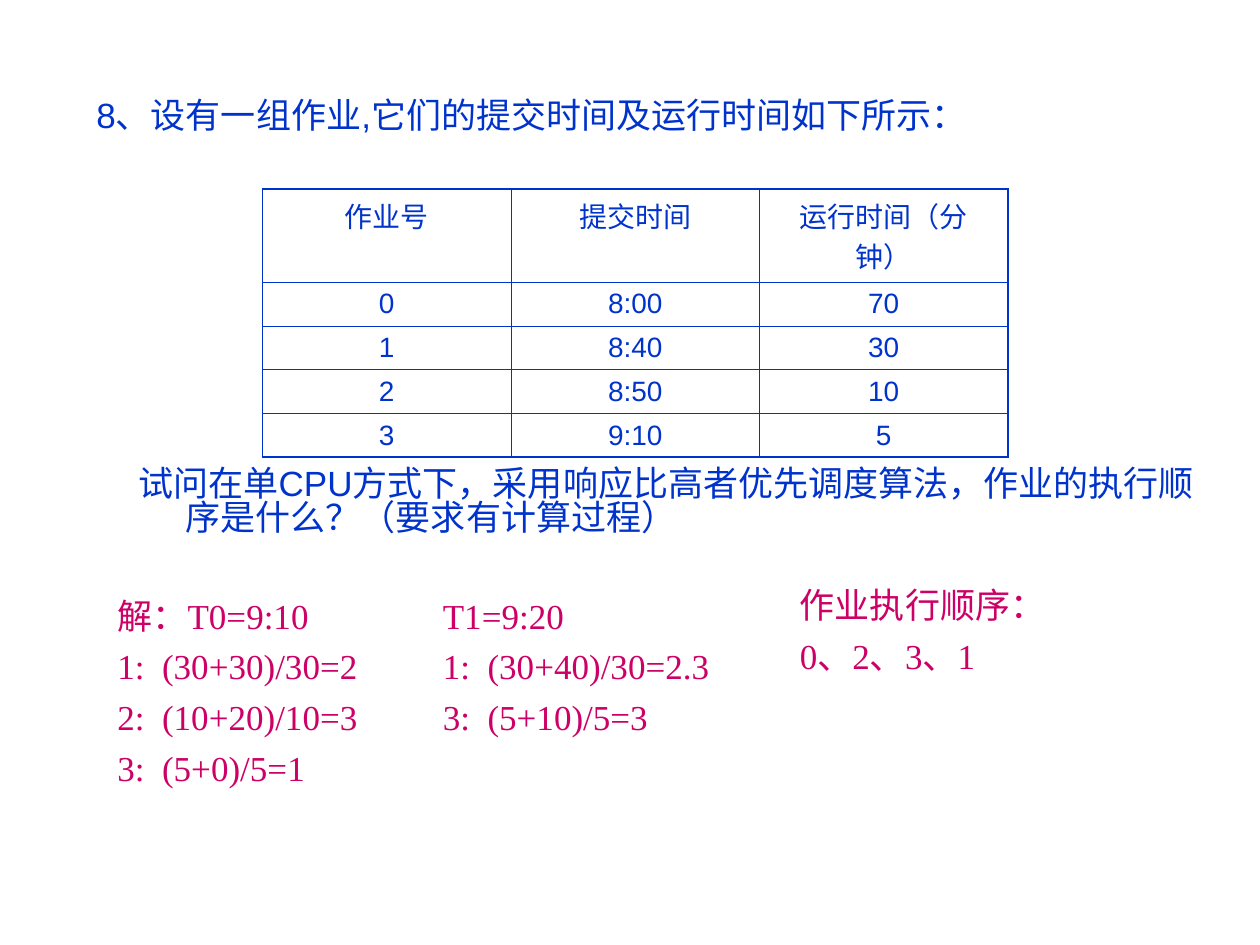
from lxml import etree
from pptx import Presentation
from pptx.dml.color import RGBColor
from pptx.enum.text import PP_ALIGN
from pptx.oxml.ns import qn
from pptx.util import Pt

CENTER = PP_ALIGN.CENTER

THEME = {
    "question": {"font": "Arial", "color": "0033CC", "size": 20},
    "table": {"font": "Arial", "color": "0033CC", "size": 16},
    "answer": {"font": "Times New Roman", "color": "CC0066", "size": 20},
    "outer_line": 1.08,
    "inner_line": 0.45,
}

TEXTS = [
    ("question", (48, 54, 654, 42), 27, ["8、设有一组作业,它们的提交时间及运行时间如下所示："]),
    ("question", (72, 264, 618, 54), 27,
     ["试问在单CPU方式下，采用响应比高者优先调度算法，作业的执行顺序是什么？（要求有计算过程）"]),
    ("answer", (60, 336, 168, 168), 25.5,
     ["解：T0=9:10", "1:\t(30+30)/30=2", "2:\t(10+20)/10=3", "3:\t(5+0)/5=1"]),
    ("answer", (246, 336, 168, 168), 25.5,
     ["T1=9:20", "1:\t(30+40)/30=2.3", "3:\t(5+10)/5=3"]),
    ("answer", (450, 330, 168, 168), 27, ["作业执行顺序：", "0、2、3、1"]),
]

JOBS = [
    ("作业号", "提交时间", "运行时间（分钟）"),
    ("0", "8:00", "70"),
    ("1", "8:40", "30"),
    ("2", "8:50", "10"),
    ("3", "9:10", "5"),
]
TABLE_LEFT, TABLE_TOP = 150, 108
COLUMN_WIDTH = 142
HEADER_HEIGHT, ROW_HEIGHT = 53.3, 25


def style_paragraph(paragraph, role):
    style = THEME[role]
    paragraph.font.name = style["font"]
    paragraph.font.size = Pt(style["size"])
    paragraph.font.color.rgb = RGBColor.from_string(style["color"])


def add_text(slide, role, box, indent, lines):
    frame = slide.shapes.add_textbox(*map(Pt, box)).text_frame
    frame.word_wrap = True
    for index, line in enumerate(lines):
        paragraph = frame.add_paragraph() if index else frame.paragraphs[0]
        paragraph.text = line
        properties = paragraph._p.get_or_add_pPr()
        properties.set("marL", str(Pt(indent)))
        properties.set("indent", str(-Pt(indent)))
        if index:
            paragraph.space_before = Pt(5)
        elif role == "question":
            paragraph.line_spacing = 0.83
        style_paragraph(paragraph, role)


def add_border(cell, side, width):
    properties = cell._tc.get_or_add_tcPr()
    line = etree.SubElement(properties, qn(f"a:ln{side}"), w=str(Pt(width)))
    fill = etree.SubElement(line, qn("a:solidFill"))
    etree.SubElement(fill, qn("a:srgbClr"), val=THEME["table"]["color"])


def add_job_table(slide):
    row_count, column_count = len(JOBS), len(JOBS[0])
    heights = [HEADER_HEIGHT] + [ROW_HEIGHT] * (row_count - 1)
    table = slide.shapes.add_table(
        row_count, column_count, Pt(TABLE_LEFT), Pt(TABLE_TOP),
        Pt(COLUMN_WIDTH * column_count), Pt(sum(heights))).table
    table.first_row = table.horz_banding = False
    for column in table.columns:
        column.width = Pt(COLUMN_WIDTH)
    for row_index, values in enumerate(JOBS):
        table.rows[row_index].height = Pt(heights[row_index])
        for column_index, value in enumerate(values):
            cell = table.cell(row_index, column_index)
            outer_sides = {
                "L": column_index == 0,
                "R": column_index == column_count - 1,
                "T": row_index == 0,
                "B": row_index == row_count - 1,
            }
            for side, outer in outer_sides.items():
                add_border(cell, side, THEME["outer_line" if outer else "inner_line"])
            cell.fill.background()
            cell.text = value
            paragraph = cell.text_frame.paragraphs[0]
            paragraph.alignment = CENTER
            style_paragraph(paragraph, "table")


def main():
    presentation = Presentation()
    presentation.slide_width, presentation.slide_height = Pt(720), Pt(540)
    slide = presentation.slides.add_slide(presentation.slide_layouts[6])
    add_job_table(slide)
    for text in TEXTS:
        add_text(slide, *text)
    presentation.save("out.pptx")


if __name__ == "__main__":
    main()
